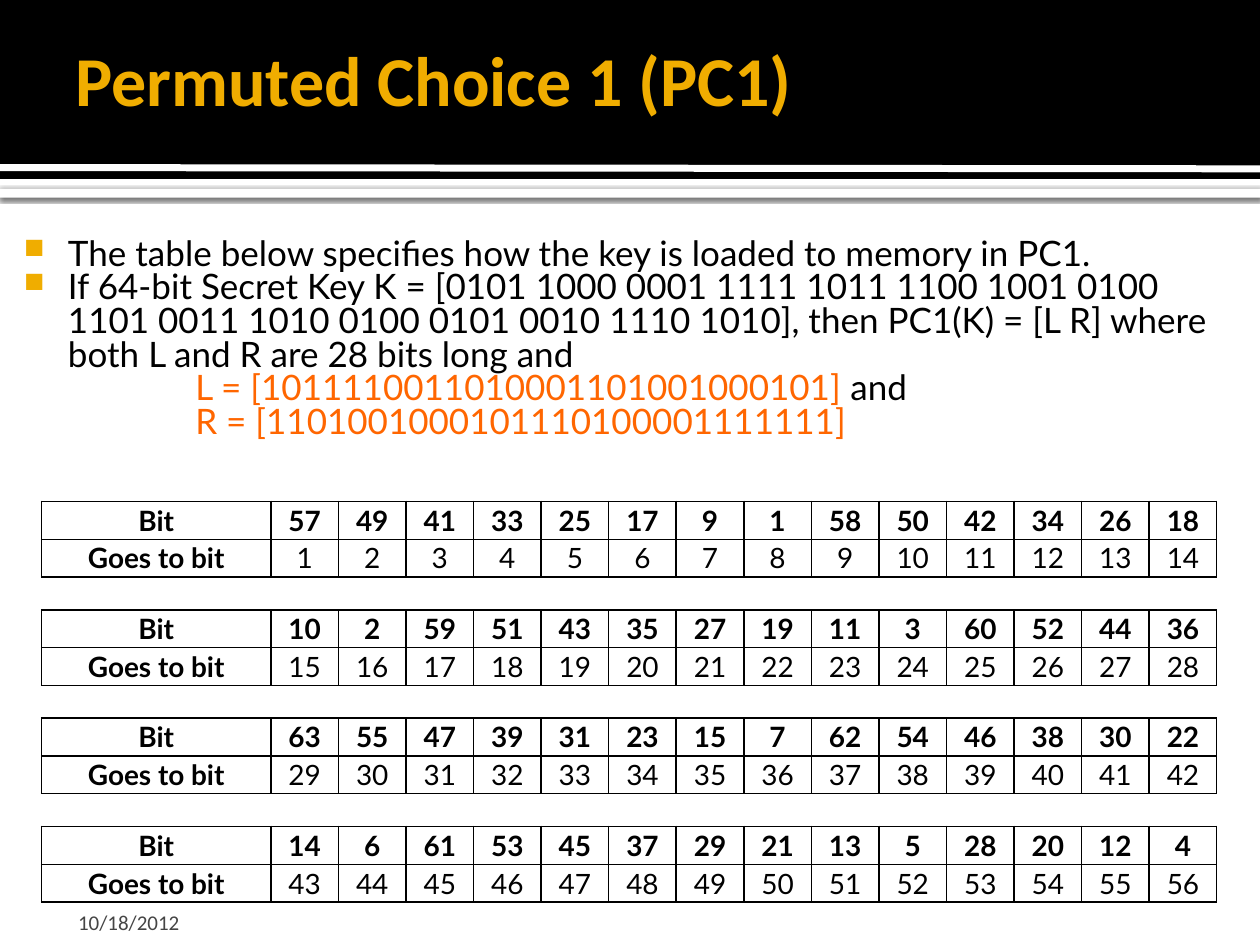
from lxml.etree import SubElement
from pptx import Presentation
from pptx.dml.color import RGBColor
from pptx.enum.shapes import MSO_CONNECTOR, MSO_SHAPE
from pptx.enum.text import MSO_ANCHOR, PP_ALIGN
from pptx.oxml.ns import qn
from pptx.util import Inches, Pt

COLORS = {"black": "000000", "white": "FFFFFF", "gold": "F0AD00",
          "orange": "FF6600", "grey": "454545"}
COLS, ROWS = 100, 75
UNIT = Inches(10) / COLS
SOURCE_BITS = [
    [57, 49, 41, 33, 25, 17, 9, 1, 58, 50, 42, 34, 26, 18],
    [10, 2, 59, 51, 43, 35, 27, 19, 11, 3, 60, 52, 44, 36],
    [63, 55, 47, 39, 31, 23, 15, 7, 62, 54, 46, 38, 30, 22],
    [14, 6, 61, 53, 45, 37, 29, 21, 13, 5, 28, 20, 12, 4],
]
BULLETS = [
    "The table below specifies how the key is loaded to memory in PC1.",
    "If 64-bit Secret Key K = [0101 1000 0001 1111 1011 1100 1001 0100 "
    "1101 0011 1010 0100 0101 0010 1110 1010], then PC1(K) = [L R] where "
    "both L and R are 28 bits long and",
]
HALVES = [
    [("L = [1011110011010001101001000101]", "orange"), (" and", "black")],
    [("R = [1101001000101110100001111111]", "orange")],
]


def grid(*cells):
    """Turn grid columns or rows into lengths."""
    return [round(c * UNIT) for c in cells]


def rgb(name):
    """Look up a named colour."""
    return RGBColor.from_string(COLORS[name])


def write(p, text, size=20, font="Lato", color="black", bold=False):
    """Append a formatted run to a paragraph."""
    r = p.add_run()
    r.text = text
    r.font.size, r.font.name, r.font.bold = Pt(size), font, bold
    r.font.color.rgb = rgb(color)


def add_frame(slide, box, insets, anchor=MSO_ANCHOR.TOP):
    """Add a wrapping text box with insets in grid units."""
    tf = slide.shapes.add_textbox(*grid(*box)).text_frame
    tf.word_wrap, tf.vertical_anchor = True, anchor
    tf.margin_left, tf.margin_top, tf.margin_right, tf.margin_bottom = grid(*insets)
    return tf


def add_bar(slide, box, color):
    """Add a plain filled rectangle."""
    sp = slide.shapes.add_shape(MSO_SHAPE.RECTANGLE, *grid(*box))
    sp.shadow.inherit = False
    sp.fill.solid()
    sp.fill.fore_color.rgb = rgb(color)
    sp.line.fill.background()
    return sp


def add_header(slide, box):
    """Draw the title band, its stripes and the title."""
    x, y, w, h = box
    stripe = add_bar(slide, (x, y + h + 0.8, w, 0.7), "white")
    effects = stripe._element.spPr.find(qn("a:effectLst"))
    shadow = SubElement(effects, qn("a:outerShdw"), blurRad=str(Pt(2.5)),
                        dist=str(Pt(0.8)), dir="5400000")
    tint = SubElement(shadow, qn("a:srgbClr"), val=COLORS["black"])
    SubElement(tint, qn("a:alpha"), val="60000")
    add_bar(slide, box, "black")
    line = slide.shapes.add_connector(
        MSO_CONNECTOR.STRAIGHT, *grid(x, y + h - 0.9, x + w, y + h - 0.8))
    line.line.width, line.line.color.rgb = Pt(4), rgb("white")
    SubElement(line._element.spPr, qn("a:effectLst"))
    tf = add_frame(slide, (x + 5, y + 0.8, 82.5, 10.8), (1, 0.5, 0.5, 0.5),
                   MSO_ANCHOR.MIDDLE)
    write(tf.paragraphs[0], "Permuted Choice 1 (PC1)", 40, "Calibri", "gold", True)


def indent(p, left, first=0, bullet=None):
    """Set a paragraph's indents in grid units and its bullet."""
    p.line_spacing = 0.8
    pPr = p._p.get_or_add_pPr()
    left, first = grid(left, first)
    pPr.set("marL", str(left))
    pPr.set("indent", str(first))
    if bullet:
        tint = SubElement(pPr, qn("a:buClr"))
        SubElement(tint, qn("a:srgbClr"), val=COLORS["gold"])
        SubElement(pPr, qn("a:buSzPct"), val="80000")
        SubElement(pPr, qn("a:buChar"), char=bullet)


def add_body(slide, box):
    """Write the bullets and the two key halves."""
    tf = add_frame(slide, box, (0.6, 1, 1, 0.5))
    for i, text in enumerate(BULLETS):
        p = tf.add_paragraph() if i else tf.paragraphs[0]
        indent(p, 4.8, -3.5, "■")
        write(p, text)
    for parts in HALVES:
        p = tf.add_paragraph()
        indent(p, 14.9)
        for text, color in parts:
            write(p, text, color=color)


def set_borders(cell, sides):
    """Rule the given sides of a cell and clear the others."""
    tcPr = cell._tc.get_or_add_tcPr()
    for i, side in enumerate("LRTB"):
        ln = tcPr.makeelement(qn(f"a:ln{side}"), {"w": str(Pt(1))})
        if side in sides:
            fill = SubElement(ln, qn("a:solidFill"))
            SubElement(fill, qn("a:srgbClr"), val=COLORS["black"])
        else:
            SubElement(ln, qn("a:noFill"))
        tcPr.insert(i, ln)


def format_cell(cell, sides):
    """Clear a cell's fill and margins and rule its sides."""
    cell.margin_left = cell.margin_right = cell.margin_top = cell.margin_bottom = 0
    cell.vertical_anchor = MSO_ANCHOR.MIDDLE
    cell.fill.background()
    set_borders(cell, sides)


def add_bit_table(slide, box, label_w=18.2, row_h=3):
    """Build the bit table as pairs of rows parted by open gaps."""
    groups, n = len(SOURCE_BITS), len(SOURCE_BITS[0])
    bit_w = (box[2] - label_w) / n
    gap_h = (box[3] - 2 * groups * row_h) / (groups - 1)
    table = slide.shapes.add_table(3 * groups - 1, n + 1, *grid(*box)).table
    table.first_row = table.horz_banding = False
    for i, col in enumerate(table.columns):
        col.width, = grid(bit_w if i else label_w)
    for i, row in enumerate(table.rows):
        is_gap = i % 3 == 2
        row.height, = grid(gap_h if is_gap else row_h)
        if is_gap:
            for cell in row.cells:
                format_cell(cell, "TB")
                SubElement(cell.text_frame.paragraphs[0]._p, qn("a:endParaRPr"), sz="800")
            table.cell(i, 0).merge(table.cell(i, n))
            continue
        group, is_target = divmod(i, 3)
        if is_target:
            values = ["Goes to bit", *range(group * n + 1, group * n + n + 1)]
        else:
            values = ["Bit", *SOURCE_BITS[group]]
        for j, (cell, value) in enumerate(zip(row.cells, values)):
            format_cell(cell, "LRTB")
            p = cell.text_frame.paragraphs[0]
            p.alignment = PP_ALIGN.CENTER
            write(p, str(value), 16, bold=not (is_target and j))


def add_date(slide, box):
    """Write the date at the foot of the slide."""
    tf = add_frame(slide, box, (1.2, 0.5, 0.5, 0), MSO_ANCHOR.BOTTOM)
    write(tf.paragraphs[0], "10/18/2012", 12, "Calibri", "grey")


def main():
    """Build and save the slide."""
    prs = Presentation()
    prs.slide_width, prs.slide_height = grid(COLS, ROWS)
    slide = prs.slides.add_slide(prs.slide_layouts[6])
    add_header(slide, (0, 0, COLS, 14.2))
    add_bit_table(slide, (3.3, 39.8, 93.3, 31.8))
    add_date(slide, (5, 71.2, 23.3, 3))
    add_body(slide, (0, 18, 98.3, 19.8))
    prs.save("out.pptx")


if __name__ == "__main__":
    main()
